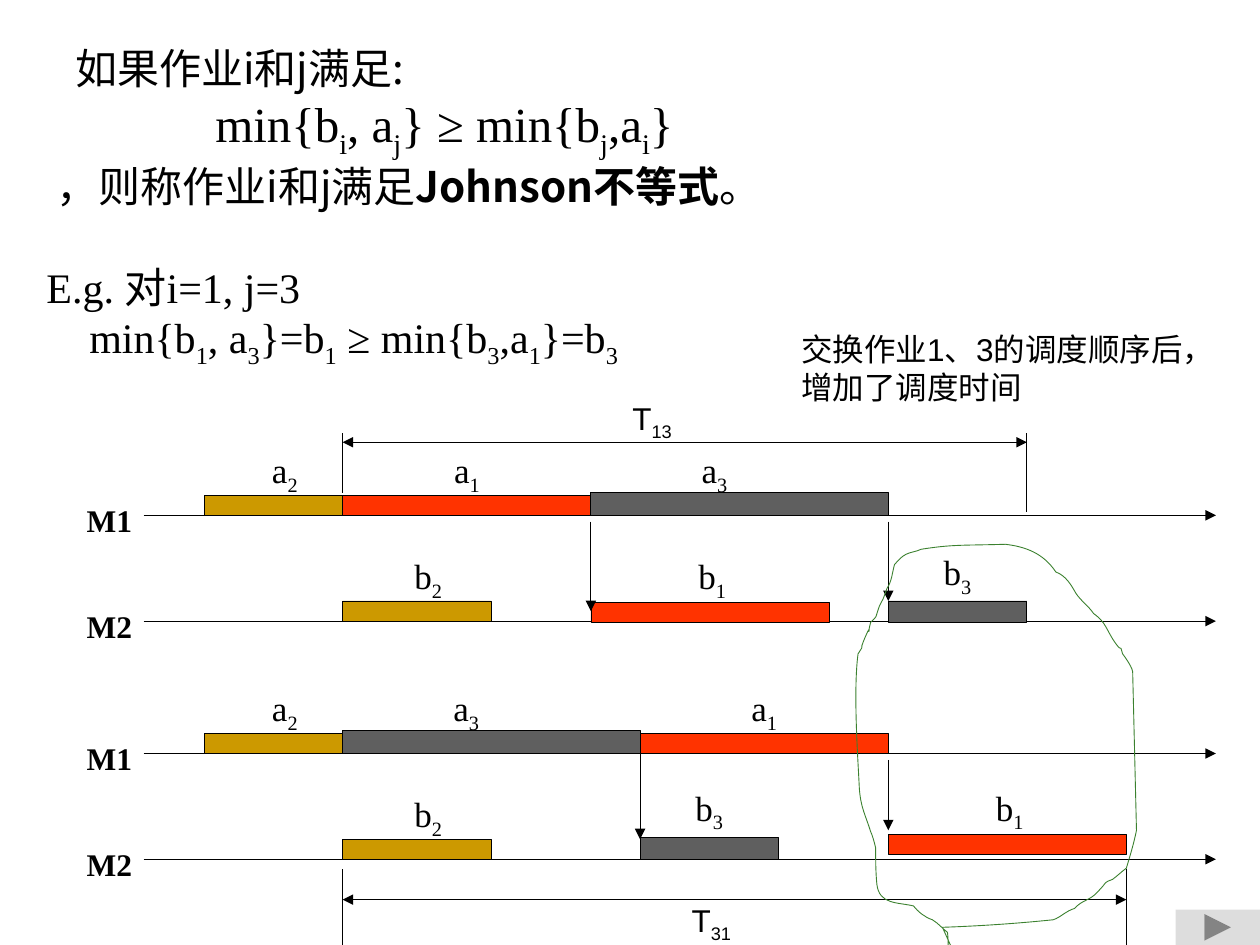
from lxml import etree
from pptx import Presentation
from pptx import util as u
from pptx.dml.color import RGBColor
from pptx.enum import shapes, text
from pptx.oxml.ns import qn

SERIF, SANS, CJK = "Times New Roman", "Arial", "Noto Sans CJK SC"
BLACK = "000000"

# Statement: (indent in, space before pt, runs of (text, size, font, bold));
# text between bars is subscript
STATEMENT = [
    (0.23, 0, [("如果作业i和j满足:", 24, CJK, False)]),
    (1.34, 0, [("min{b|i|, a|j|} ≥ min{b|j|,a|i|}", 28, SERIF, False)]),
    (0.08, 0, [("，则称作业i和j满足", 24, CJK, False),
               ("Johnson不等式", 24, CJK, True), ("。", 24, CJK, False)]),
    (0, 29, [("E.g. 对i=1, j=3", 24, SERIF, False)]),
    (0.34, 0, [("min{b|1|, a|3|}=b|1| ≥ min{b|3|,a|1|}=b|3|", 24, SERIF, False)]),
]
NOTE = "交换作业1、3的调度顺序后，增加了调度时间"

# Jobs: colour and, per machine, (duration, bar height, label shift)
JOBS = {
    1: {"color": "FF3300", "a": (1.97, 0.16, 0.01), "b": (1.89, 0.16, 0.02)},
    2: {"color": "CC9900", "a": (1.10, 0.16, 0.10), "b": (1.18, 0.16, 0.09)},
    3: {"color": "5F5F5F", "a": (2.36, 0.18, -0.19), "b": (1.10, 0.17, 0)},
}
# Each schedule: M1 axis, job order, (bar, label) nudges on M2,
# drop arrows per later job (from, to, below the M1 axis), span of the total time
SCHEDULES = [
    {"axis": 4.09, "order": (2, 1, 3), "nudge": {1: (0.01, 0), 3: (0.01, -0.03)},
     "drops": {1: (0.05, 0.76), 3: (0.05, 0.68)},
     "total": ("T|13|", 3.51, 4.92, 3.12), "ticks": ((3.44, 3.91), (3.44, 4.06))},
    {"axis": 5.98, "order": (2, 3, 1), "nudge": {3: (0, -0.05), 1: (-0.04, -0.05)},
     "drops": {3: (-0.03, 0.68), 1: (0.05, 0.61)},
     "total": ("T|31|", 7.14, 5.39, 7.10), "ticks": ((6.9, 7.5), (6.9, 7.5))},
]
AXIS_LEFT, AXIS_RIGHT, MACHINE_GAP, START = 1.14, 9.65, 0.84, 1.62

# Hand-drawn loop round the changed ending: start, then curves (two handles, end)
LOOP_START = (7.48, 7.36)
LOOP_CURVES = [
    (7.77, 7.35, 8.07, 7.33, 8.36, 7.3), (8.42, 7.28, 8.46, 7.23, 8.53, 7.21),
    (8.59, 7.14, 8.65, 7.15, 8.71, 7.08), (8.8, 6.99, 8.75, 7.01, 8.83, 6.98),
    (8.87, 6.95, 8.9, 6.92, 8.94, 6.89), (8.97, 6.79, 9, 6.69, 9.02, 6.59),
    (9.01, 6.17, 9, 5.75, 8.99, 5.33), (8.98, 5.28, 8.91, 5.19, 8.91, 5.19),
    (8.88, 5.09, 8.92, 5.2, 8.85, 5.1), (8.78, 5, 8.78, 4.94, 8.68, 4.87),
    (8.64, 4.81, 8.58, 4.77, 8.54, 4.71), (8.5, 4.64, 8.46, 4.57, 8.38, 4.54),
    (8.28, 4.39, 8.14, 4.34, 7.98, 4.32), (7.64, 4.33, 7.56, 4.32, 7.31, 4.36),
    (7.27, 4.38, 7.23, 4.38, 7.19, 4.4), (7.15, 4.42, 7.13, 4.45, 7.1, 4.48),
    (7.08, 4.55, 7.08, 4.61, 7.04, 4.67), (7, 4.78, 7.02, 4.73, 6.98, 4.81),
    (6.94, 4.92, 6.97, 4.88, 6.91, 4.94), (6.87, 5.11, 6.93, 4.91, 6.87, 5.05),
    (6.8, 5.21, 6.88, 5.08, 6.81, 5.19), (6.77, 5.49, 6.81, 6.03, 6.82, 6.25),
    (6.83, 6.41, 6.87, 6.47, 6.91, 6.6), (6.93, 6.64, 6.95, 6.73, 6.95, 6.73),
    (6.95, 6.83, 6.95, 6.92, 6.96, 7.02), (6.98, 7.18, 7.12, 7.16, 7.25, 7.19),
    (7.29, 7.24, 7.34, 7.28, 7.4, 7.3), (7.45, 7.33, 7.48, 7.37, 7.52, 7.4),
    (7.54, 7.57, 7.49, 7.56, 7.57, 7.56),
]

prs = Presentation()
prs.slide_width, prs.slide_height = u.Inches(10), u.Inches(7.5)
slide = prs.slides.add_slide(prs.slide_layouts[6])


def color(hex_value):
    return RGBColor.from_string(hex_value)


def add_runs(paragraph, marked, size, font, bold=False):
    for i, part in enumerate(marked.split("|")):
        if not part:
            continue
        run = paragraph.add_run()
        run.text = part
        run.font.size, run.font.bold, run.font.name = u.Pt(size), bold, font
        run.font.color.rgb = color(BLACK)
        props = run._r.get_or_add_rPr()
        etree.SubElement(props, qn("a:ea")).set("typeface", CJK)
        if i % 2:
            props.set("baseline", "-25000")


def add_box(left, top, width, height, wrap=False):
    box = slide.shapes.add_textbox(*map(u.Inches, (left, top, width, height)))
    box.text_frame.word_wrap = wrap
    box.text_frame.auto_size = text.MSO_AUTO_SIZE.NONE
    return box.text_frame


def add_label(marked, left, top, width, height, size, font, bold=False, wrap=False):
    add_runs(add_box(left, top, width, height, wrap).paragraphs[0], marked, size, font, bold)


def add_line(x1, y1, x2, y2, *arrow_ends):
    line = slide.shapes.add_connector(
        shapes.MSO_CONNECTOR.STRAIGHT, *map(u.Inches, (x1, y1, x2, y2)))
    line.line.width, line.line.color.rgb = u.Pt(0.5), color(BLACK)
    for end in arrow_ends:
        etree.SubElement(line.line._get_or_add_ln(), qn("a:" + end)).set("type", "triangle")
    etree.SubElement(line._element.spPr, qn("a:effectLst"))


def add_block(kind, left, top, width, height, fill, outlined=True):
    block = slide.shapes.add_shape(kind, *map(u.Inches, (left, top, width, height)))
    block.shadow.inherit = False
    block.fill.solid()
    block.fill.fore_color.rgb = color(fill)
    if outlined:
        block.line.width, block.line.color.rgb = u.Pt(0.5), color(BLACK)
    else:
        block.line.fill.background()


def add_task(machine, job, start, axis, bar_nudge=0, label_nudge=0):
    duration, height, shift = JOBS[job][machine]
    add_block(shapes.MSO_SHAPE.RECTANGLE, start, axis - height + bar_nudge,
              duration, height, JOBS[job]["color"])
    add_label(f"{machine}|{job}|", start + duration / 2 + shift - 0.21,
              axis - 0.58 + label_nudge, 0.42, 0.43, 20, SERIF)


def add_schedule(plan):
    m1 = plan["axis"]
    m2 = m1 + MACHINE_GAP
    for name, y in (("M1", m1), ("M2", m2)):
        add_line(AXIS_LEFT, y, AXIS_RIGHT, y, "tailEnd")
        add_label(name, 0.59, y - 0.16, 0.56, 0.4, 18, SERIF, True)
    # A job enters M2 once it has left M1 and M2 is free
    m1_free, m2_free = START, 0
    for job in plan["order"]:
        add_task("a", job, m1_free, m1)
        m1_free += JOBS[job]["a"][0]
        m2_start = max(m1_free, m2_free)
        add_task("b", job, m2_start, m2, *plan["nudge"].get(job, (0, 0)))
        m2_free = m2_start + JOBS[job]["b"][0]
        if job in plan["drops"]:
            top, bottom = plan["drops"][job]
            add_line(m1_free, m1 + top, m1_free, m1 + bottom, "tailEnd")
    # Total time after the first job
    span = (START + JOBS[plan["order"][0]]["a"][0], m2_free)
    for x, (top, bottom) in zip(span, plan["ticks"]):
        add_line(x, top, x, bottom)
    name, y, left, top = plan["total"]
    add_line(span[0], y, span[1], y, "headEnd", "tailEnd")
    add_label(name, left, top, 0.54, 0.4, 18, SANS)


def add_loop(start, curves, units=1000):
    ends = [start] + [curve[4:] for curve in curves]
    left, top = (min(axis) for axis in zip(*ends))
    builder = slide.shapes.build_freeform(
        *(round(v * units) for v in start), scale=u.Inches(1) / units)
    builder.add_line_segments([(round(x * units), round(y * units)) for x, y in ends[1:]])
    loop = builder.convert_to_shape()
    # Bend each straight segment with its two handles
    for segment, curve in zip(list(loop._element.iter(qn("a:lnTo"))), curves):
        segment.tag = qn("a:cubicBezTo")
        for i, (x, y) in enumerate((curve[:2], curve[2:4])):
            handle = etree.Element(qn("a:pt"))
            handle.set("x", str(round((x - left) * units)))
            handle.set("y", str(round((y - top) * units)))
            segment.insert(i, handle)
    outline = next(loop._element.iter(qn("a:moveTo"))).getparent()
    etree.SubElement(outline, qn("a:close"))
    loop.shadow.inherit = False
    loop.fill.background()
    loop.line.width, loop.line.color.rgb = u.Pt(0.5), color("3B812F")


# Johnson inequality and example
statement = add_box(0.27, 0.29, 9.08, 2.56, wrap=True)
for i, (indent, before, runs) in enumerate(STATEMENT):
    paragraph = statement.paragraphs[0] if i == 0 else statement.add_paragraph()
    paragraph._p.get_or_add_pPr().set("marL", str(u.Inches(indent)))
    if before:
        paragraph.space_before = u.Pt(before)
    for run in runs:
        add_runs(paragraph, *run)

# Both schedules, the remark, the next button and the loop
for plan in SCHEDULES:
    add_schedule(plan)
add_label(NOTE, 6.26, 2.57, 3.54, 0.7, 18, SANS, wrap=True)
add_block(shapes.MSO_SHAPE.ACTION_BUTTON_FORWARD_OR_NEXT, 9.33, 7.22, 0.67, 0.28,
          "DDDDDD", outlined=False)
add_loop(LOOP_START, LOOP_CURVES)

prs.save("out.pptx")
